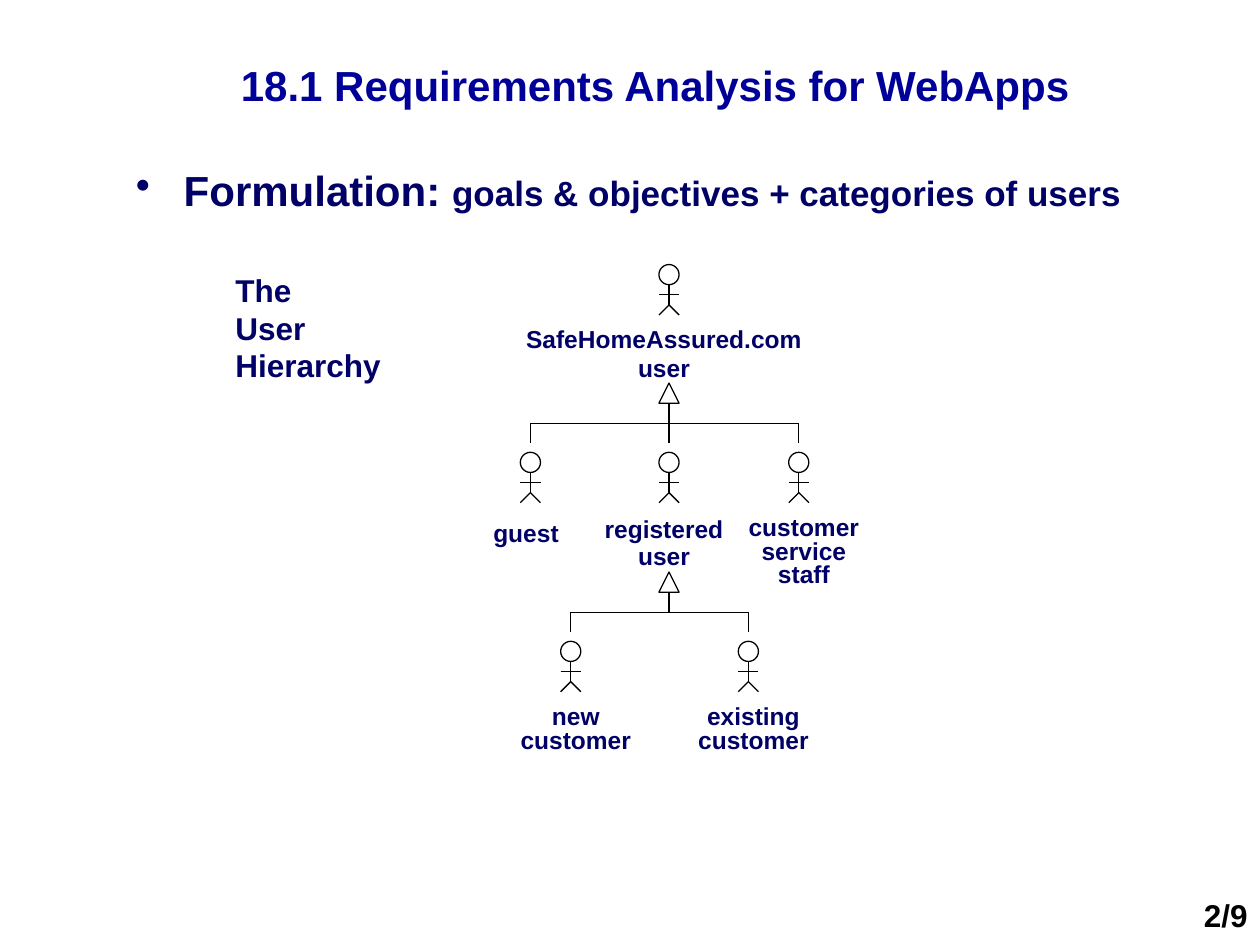
from lxml import etree
from pptx import Presentation
from pptx.dml.color import RGBColor
from pptx.enum.shapes import MSO_CONNECTOR, MSO_SHAPE
from pptx.enum.text import MSO_ANCHOR, PP_ALIGN
from pptx.oxml.ns import qn
from pptx.util import Inches, Pt

TITLE_BLUE = RGBColor(0x00, 0x00, 0x99)
NAVY = RGBColor(0x00, 0x00, 0x66)
BLACK = RGBColor(0x00, 0x00, 0x00)
FONT = "Arial"

UNIT = 0.16          # head, body, arm span and triangle size
HALF = UNIT / 2
ROW_TOPS = (2.1, 3.59, 5.09)
LABEL_DROP = 0.47    # from the top of a head to the top of its label
ROOT_X = 5.31


def style_run(run, size, color):
    run.font.name = FONT
    run.font.size = Pt(size)
    run.font.bold = True
    run.font.color.rgb = color


def add_text(shapes, box, lines, size, color=NAVY, align=PP_ALIGN.LEFT,
             spacing=1.0, anchor=MSO_ANCHOR.TOP):
    text_box = shapes.add_textbox(*map(Inches, box))
    frame = text_box.text_frame
    frame.word_wrap = True
    frame.vertical_anchor = anchor
    frame.text = "\n".join(lines)
    for paragraph in frame.paragraphs:
        paragraph.alignment = align
        paragraph.line_spacing = spacing
        for run in paragraph.runs:
            style_run(run, size, color)
    return text_box


def add_line(shapes, x1, y1, x2, y2):
    line = shapes.add_connector(MSO_CONNECTOR.STRAIGHT,
                                *map(Inches, (x1, y1, x2, y2)))
    line.line.color.rgb = BLACK
    line.line.width = Pt(0.75)
    etree.SubElement(line._element.spPr, qn("a:effectLst"))


def add_outline(shapes, kind, center_x, top):
    """Add an unfilled shape one unit wide and high."""
    shape = shapes.add_shape(kind, *map(Inches, (center_x - HALF, top, UNIT, UNIT)))
    shape.shadow.inherit = False
    shape.fill.background()
    shape.line.color.rgb = BLACK
    shape.line.width = Pt(0.75)


def add_actor(shapes, x, top):
    """Draw a UML stick figure whose head starts at top."""
    neck, hip = top + UNIT, top + 2 * UNIT
    arms = (neck + hip) / 2
    add_outline(shapes, MSO_SHAPE.OVAL, x, top)
    add_line(shapes, x, neck, x, hip)
    add_line(shapes, x - HALF, arms, x + HALF, arms)
    for side in (-HALF, HALF):
        add_line(shapes, x, hip, x + side, hip + HALF)


def add_generalization(shapes, parent_x, top, child_xs):
    """Draw a hollow arrowhead and the branches down to the children."""
    bar = top + 2 * UNIT
    add_outline(shapes, MSO_SHAPE.ISOSCELES_TRIANGLE, parent_x, top)
    add_line(shapes, parent_x, top + UNIT, parent_x, bar)
    add_line(shapes, child_xs[0], bar, child_xs[-1], bar)
    for x in child_xs:
        add_line(shapes, x, bar, x, bar + UNIT)


def add_hierarchy(slide):
    shapes = slide.shapes.add_group_shape().shapes
    # row, actor x, label left, label width, label height, lines, line spacing
    actors = (
        (0, ROOT_X, 4.05, 2.44, 0.57, ("SafeHomeAssured.com", "user"), 1.0),
        (1, 4.21, 3.74, 0.87, 0.34, ("guest",), 1.0),
        (1, ROOT_X, 4.68, 1.18, 0.52, ("registered", "user"), 0.9),
        (1, 6.34, 5.79, 1.18, 0.66, ("customer service staff",), 0.8),
        (2, 4.53, 3.98, 1.18, 0.48, ("new customer",), 0.8),
        (2, 5.94, 5.39, 1.18, 0.48, ("existing customer",), 0.8),
    )
    for row, x, left, width, height, lines, spacing in actors:
        top = ROW_TOPS[row]
        add_actor(shapes, x, top)
        drop = 0.42 if row == 0 else LABEL_DROP
        add_text(shapes, (left, top + drop, width, height), lines, 14,
                 align=PP_ALIGN.CENTER, spacing=spacing)
    for row in (1, 2):
        child_xs = [actor[1] for actor in actors if actor[0] == row]
        add_generalization(shapes, ROOT_X, ROW_TOPS[row] - 0.55, child_xs)


def add_bullet_line(slide, box):
    text_box = add_text(slide.shapes, box, ("Formulation: ",), 24)
    paragraph = text_box.text_frame.paragraphs[0]
    properties = paragraph._p.get_or_add_pPr()
    properties.set("marL", str(Inches(0.38)))
    properties.set("indent", str(Inches(-0.38)))
    bullet = etree.SubElement(properties, qn("a:buChar"))
    bullet.set("char", "•")
    detail = paragraph.add_run()
    detail.text = "goals & objectives + categories of users"
    style_run(detail, 20, NAVY)


def main():
    presentation = Presentation()
    presentation.slide_width = Inches(10)
    presentation.slide_height = Inches(7.5)
    slide = presentation.slides.add_slide(presentation.slide_layouts[6])
    add_text(slide.shapes, (0.9, 0.21, 8.6, 0.93),
             ("18.1 Requirements Analysis for WebApps",), 24, TITLE_BLUE,
             PP_ALIGN.CENTER, anchor=MSO_ANCHOR.MIDDLE)
    add_hierarchy(slide)
    add_bullet_line(slide, (0.98, 1.26, 8.35, 0.79))
    add_text(slide.shapes, (1.77, 2.1, 1.5, 1), ("The", "User Hierarchy"), 18)
    add_text(slide.shapes, (9.1, 7.06, 0.9, 0.4), ("2/9",), 18, BLACK,
             PP_ALIGN.RIGHT)
    presentation.save("out.pptx")


if __name__ == "__main__":
    main()
